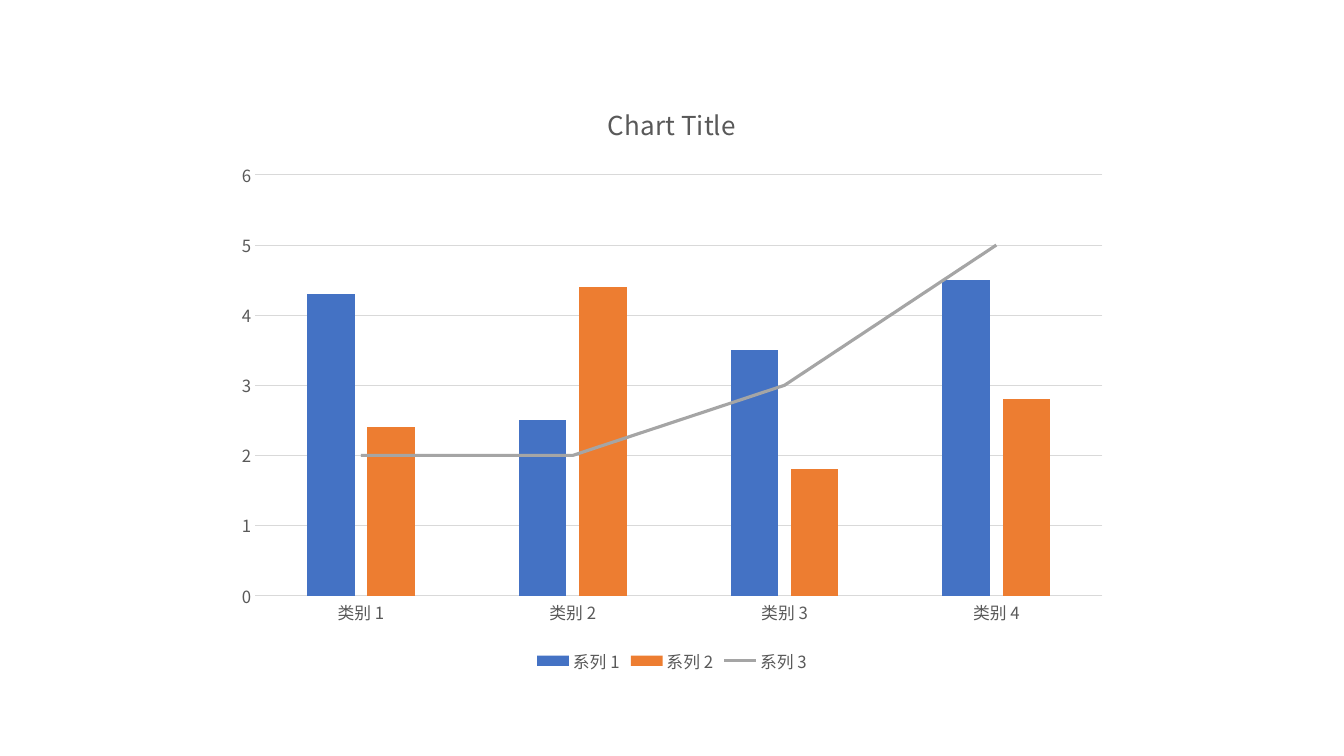
"""Build a slide with a combined column and line chart."""
from copy import deepcopy
from dataclasses import dataclass

from lxml import etree
from pptx import Presentation
from pptx import util as u
from pptx.chart import chart as ch
from pptx.chart import data as cd
from pptx.dml.color import RGBColor
from pptx.enum import chart as ce
from pptx.oxml import ns
from pptx.text import text as t

FONT = "Noto Sans CJK SC"
BLACK = RGBColor(0x00, 0x00, 0x00)
LABEL_GREY = RGBColor(0x59, 0x59, 0x59)
GRID_GREY = RGBColor(0xD9, 0xD9, 0xD9)
BLUE = RGBColor(0x44, 0x72, 0xC4)
ORANGE = RGBColor(0xED, 0x7D, 0x31)
GREY = RGBColor(0xA5, 0xA5, 0xA5)


@dataclass(frozen=True)
class Series:
    name: str
    values: tuple[float, ...]
    color: RGBColor


CATEGORIES = [f"类别 {number}" for number in range(1, 5)]
COLUMNS = [
    Series("系列 1", (4.3, 2.5, 3.5, 4.5), BLUE),
    Series("系列 2", (2.4, 4.4, 1.8, 2.8), ORANGE),
]
TREND = Series("系列 3", (2, 2, 3, 5), GREY)


def style_font(font: t.Font, size: float, color: RGBColor = LABEL_GREY) -> None:
    font.name = FONT
    font.size = u.Pt(size)
    font.bold = False
    font.color.rgb = color


def move_last_series_to_line(chart: ch.Chart) -> None:
    bars = next(chart._chartSpace.iter(ns.qn("c:barChart")))
    trend = bars.findall(ns.qn("c:ser"))[-1]
    for bar_setting in trend.findall(ns.qn("c:invertIfNegative")):
        trend.remove(bar_setting)
    lines = chart._chartSpace.makeelement(ns.qn("c:lineChart"))
    etree.SubElement(lines, ns.qn("c:grouping")).set("val", "standard")
    etree.SubElement(lines, ns.qn("c:varyColors")).set("val", "0")
    lines.append(trend)
    etree.SubElement(lines, ns.qn("c:marker")).set("val", "1")
    for axis_id in bars.findall(ns.qn("c:axId")):
        lines.append(deepcopy(axis_id))
    bars.addnext(lines)


def style_series(chart: ch.Chart) -> None:
    columns, lines = chart.plots
    columns.gap_width = 219
    columns.overlap = -27
    columns.vary_by_categories = False
    for column, series in zip(columns.series, COLUMNS):
        column.format.fill.solid()
        column.format.fill.fore_color.rgb = series.color
    trend = lines.series[0]
    trend.format.line.color.rgb = TREND.color
    trend.format.line.width = u.Pt(2.25)
    trend.marker.style = ce.XL_MARKER_STYLE.NONE
    trend.smooth = False


def style_axes(chart: ch.Chart) -> None:
    for axis in (chart.category_axis, chart.value_axis):
        axis.major_tick_mark = ce.XL_TICK_MARK.NONE
        axis.minor_tick_mark = ce.XL_TICK_MARK.NONE
        style_font(axis.tick_labels.font, 12)
    scale = chart.value_axis
    scale.minimum_scale, scale.maximum_scale, scale.major_unit = 0, 6, 1
    scale.format.line.fill.background()
    scale.has_major_gridlines = True
    for line in (chart.category_axis.format.line, scale.major_gridlines.format.line):
        line.color.rgb = GRID_GREY
        line.width = u.Pt(0.75)


def style_title_and_legend(chart: ch.Chart) -> None:
    chart.has_title = True
    heading = chart.chart_title.text_frame.paragraphs[0].add_run()
    heading.text = "Chart Title"
    style_font(heading.font, 18.6)
    chart.has_legend = True
    chart.legend.position = ce.XL_LEGEND_POSITION.BOTTOM
    chart.legend.include_in_layout = False
    style_font(chart.legend.font, 12)


def set_east_asian_fonts(chart: ch.Chart) -> None:
    for latin in list(chart._chartSpace.iter(ns.qn("a:latin"))):
        east_asian = latin.makeelement(ns.qn("a:ea"))
        east_asian.set("typeface", FONT)
        latin.addnext(east_asian)


def main() -> None:
    deck = Presentation()
    deck.slide_width, deck.slide_height = u.Inches(13.33), u.Inches(7.5)
    slide = deck.slides.add_slide(deck.slide_layouts[6])
    figures = cd.CategoryChartData()
    figures.categories = CATEGORIES
    for series in (*COLUMNS, TREND):
        figures.add_series(series.name, series.values)
    chart = slide.shapes.add_chart(
        ce.XL_CHART_TYPE.COLUMN_CLUSTERED,
        u.Inches(2.22), u.Inches(0.79), u.Inches(8.89), u.Inches(5.93), figures,
    ).chart
    style_font(chart.font, 10, BLACK)
    move_last_series_to_line(chart)
    style_series(chart)
    style_axes(chart)
    style_title_and_legend(chart)
    set_east_asian_fonts(chart)
    deck.save("out.pptx")


if __name__ == "__main__":
    main()
